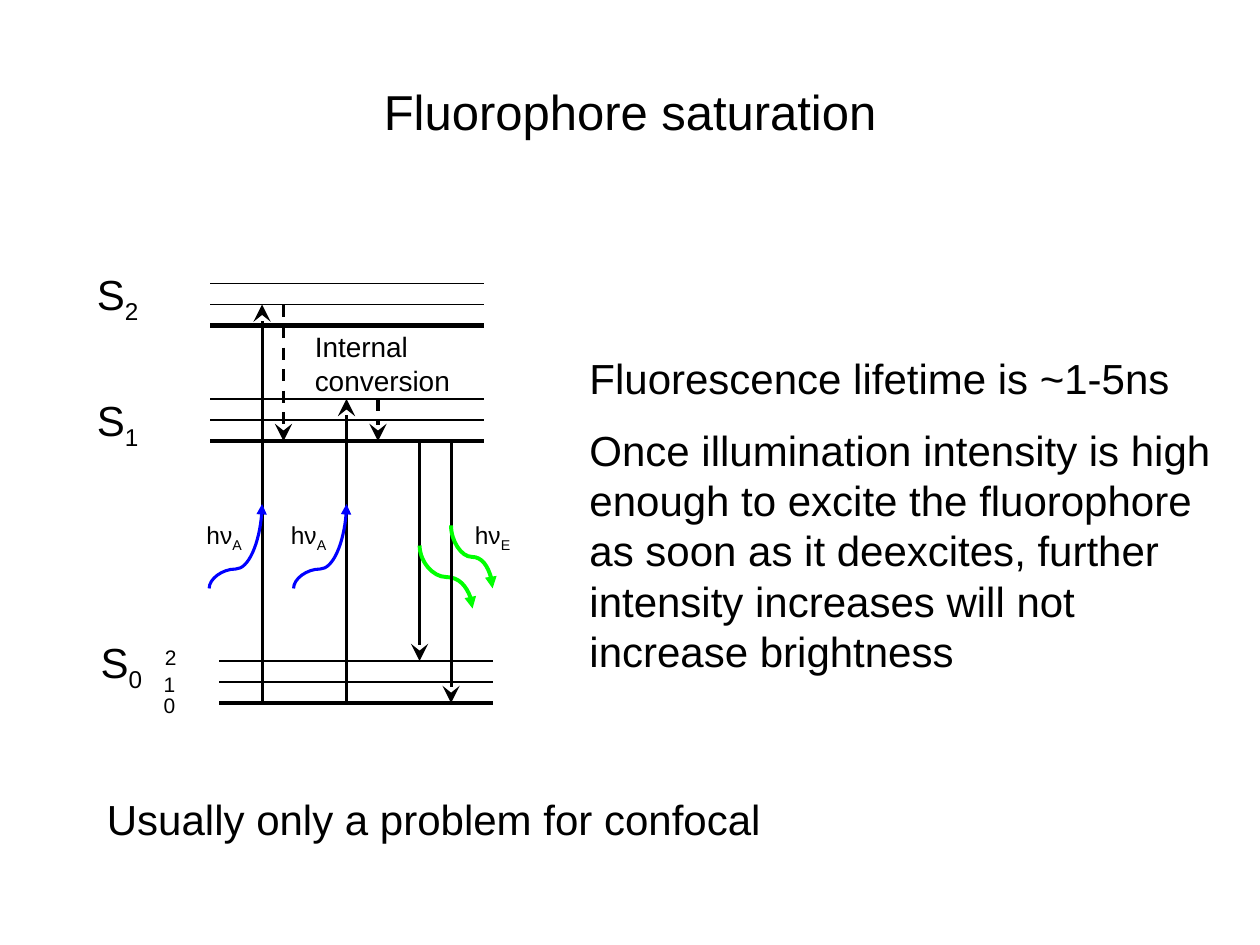
from pptx import Presentation
from pptx.dml.color import RGBColor
from pptx.enum.dml import MSO_LINE
from pptx.enum.shapes import MSO_CONNECTOR
from pptx.enum.text import MSO_ANCHOR, MSO_AUTO_SIZE, PP_ALIGN
from pptx.oxml.ns import qn
from pptx.util import Inches, Pt
from lxml import etree

STRAIGHT, CURVE = MSO_CONNECTOR.STRAIGHT, MSO_CONNECTOR.CURVE
DASH = MSO_LINE.DASH
MIDDLE, CENTER = MSO_ANCHOR.MIDDLE, PP_ALIGN.CENTER
FIT = MSO_AUTO_SIZE.SHAPE_TO_FIT_TEXT
COLORS = {"ink": "000000", "absorb": "0000FF", "emit": "00FF00", "paper": "FFFFFF"}
STEP = 1 / 6


def add_run(para, text, size, sub=False):
    run = para.add_run()
    run.text = text
    run.font.name = "Arial"
    run.font.size = Pt(size)
    run.font.color.rgb = RGBColor.from_string(COLORS["ink"])
    if sub:
        run._r.get_or_add_rPr().set("baseline", "-25000")


def add_text(slide, box, paras, size, wrap=False, gap=0):
    frame = slide.shapes.add_textbox(*map(Inches, box)).text_frame
    frame.word_wrap = wrap
    frame.auto_size = FIT
    for i, parts in enumerate(paras):
        para = frame.add_paragraph() if i else frame.paragraphs[0]
        if i and gap:
            para.space_before = Pt(gap)
        for j, part in enumerate(parts):
            add_run(para, part, size, sub=j > 0)


def add_line(slide, kind, ends, color, width, head=None, span="med", dash=None):
    line = slide.shapes.add_connector(kind, *map(Inches, ends))
    line.line.color.rgb = RGBColor.from_string(COLORS[color])
    line.line.width = Pt(width)
    if dash:
        line.line.dash_style = dash
    props = line._element.spPr
    if head:
        etree.SubElement(props.find(qn("a:ln")), qn("a:tailEnd"), type=head, w=span, len=span)
    etree.SubElement(props, qn("a:effectLst"))
    return line


def add_arrow(slide, x, start, end, dash=None):
    add_line(slide, STRAIGHT, (x, start, x, end), "ink", 1.75, "stealth", "lg", dash)


def add_wave(slide, box, color, width, bend, down=False):
    x, y, w, h = box
    left, top = x + (w - h) / 2, y + (h - w) / 2
    ends = (left, top, left + h, top + w)
    if down:
        ends = (left + h, top, left, top + w)
    wave = add_line(slide, CURVE, ends, color, width, "triangle")
    props = wave._element.spPr
    props.find(qn("a:xfrm")).set("rot", "16200000")
    geom = props.find(qn("a:prstGeom"))
    guides = geom.find(qn("a:avLst"))
    if guides is None:
        guides = etree.SubElement(geom, qn("a:avLst"))
    etree.SubElement(guides, qn("a:gd"), name="adj1", fmla=f"val {int(bend * 100000)}")


def add_state(slide, x, base, name, box, wrap=False):
    for i in range(3):
        y = base - i * STEP
        add_line(slide, STRAIGHT, (x, y, x + 2.17, y), "ink", 1 if i else 2.75)
    add_text(slide, box, [("S", name)], 24, wrap)


def add_photon(slide, x, name):
    add_text(slide, (x, 4.08, 0.49, 0.33), [("hν", name)], 14)


def add_diagram(slide, box):
    x, y, w, h = box
    right, floor = x + w, y + h
    s2, s1 = y + 2 * STEP, y + 1.25
    add_state(slide, x + 1, s1, "1", (x, 3.08, 0.55, 0.5))
    add_state(slide, x + 1, s2, "2", (x, 2.08, 0.58, 0.5), True)
    add_state(slide, right - 2.17, floor, "0", (x + 0.03, 5, 0.55, 0.5))
    for mark, left, top in (("0", 1.2, 5.45), ("1", 1.2, 5.28), ("2", 1.21, 5.07)):
        add_text(slide, (left, top, 0.29, 0.3), [(mark,)], 12)
    for pos, peak in ((2.08, s2 - STEP), (2.75, s1 - 2 * STEP)):
        add_arrow(slide, pos, floor, peak)
        add_wave(slide, (pos - 0.42, 4, 0.42, 0.67), "absorb", 1.75, 0.23)
        add_photon(slide, pos - 0.54, "A")
    add_arrow(slide, 2.25, s2 - STEP, s1, DASH)
    add_arrow(slide, 3, s1 - 2 * STEP, s1, DASH)
    add_text(slide, (2.4, 2.57, 1.28, 0.64), [("Internal",), ("conversion",)], 16)
    for pos, end, top, wide in (
        (3.33, floor - 2 * STEP, 4.33, 0.42),
        (3.58, floor, 4.17, 0.33),
    ):
        add_arrow(slide, pos, s1, end)
        add_wave(slide, (pos, top, wide, 0.5), "emit", 2.25, 0.5, True)
    add_photon(slide, 3.67, "E")


def add_title(slide, box):
    title = slide.shapes.title
    title.left, title.top, title.width, title.height = map(Inches, box)
    frame = title.text_frame
    frame.vertical_anchor = MIDDLE
    frame.paragraphs[0].alignment = CENTER
    add_run(frame.paragraphs[0], "Fluorophore saturation", 28)


def add_notes(slide, box):
    add_text(slide, box, [
        ("Fluorescence lifetime is ~1-5ns",),
        ("Once illumination intensity is high enough to excite the fluorophore "
         "as soon as it deexcites, further intensity increases will not "
         "increase brightness",),
    ], 24, True, 12)


def main():
    deck = Presentation()
    deck.slide_width, deck.slide_height = Inches(10), Inches(7.5)
    slide = deck.slides.add_slide(deck.slide_layouts[5])
    slide.background.fill.solid()
    slide.background.fill.fore_color.rgb = RGBColor.from_string(COLORS["paper"])
    add_diagram(slide, (0.67, 2.25, 3.24, 3.33))
    add_title(slide, (0.75, 0.42, 8.5, 0.92))
    add_notes(slide, (4.58, 2.75, 5.25, 2.7))
    add_text(slide, (0.75, 6.25, 8.75, 0.5), [("Usually only a problem for confocal",)], 24, True)
    deck.save("out.pptx")


if __name__ == "__main__":
    main()
